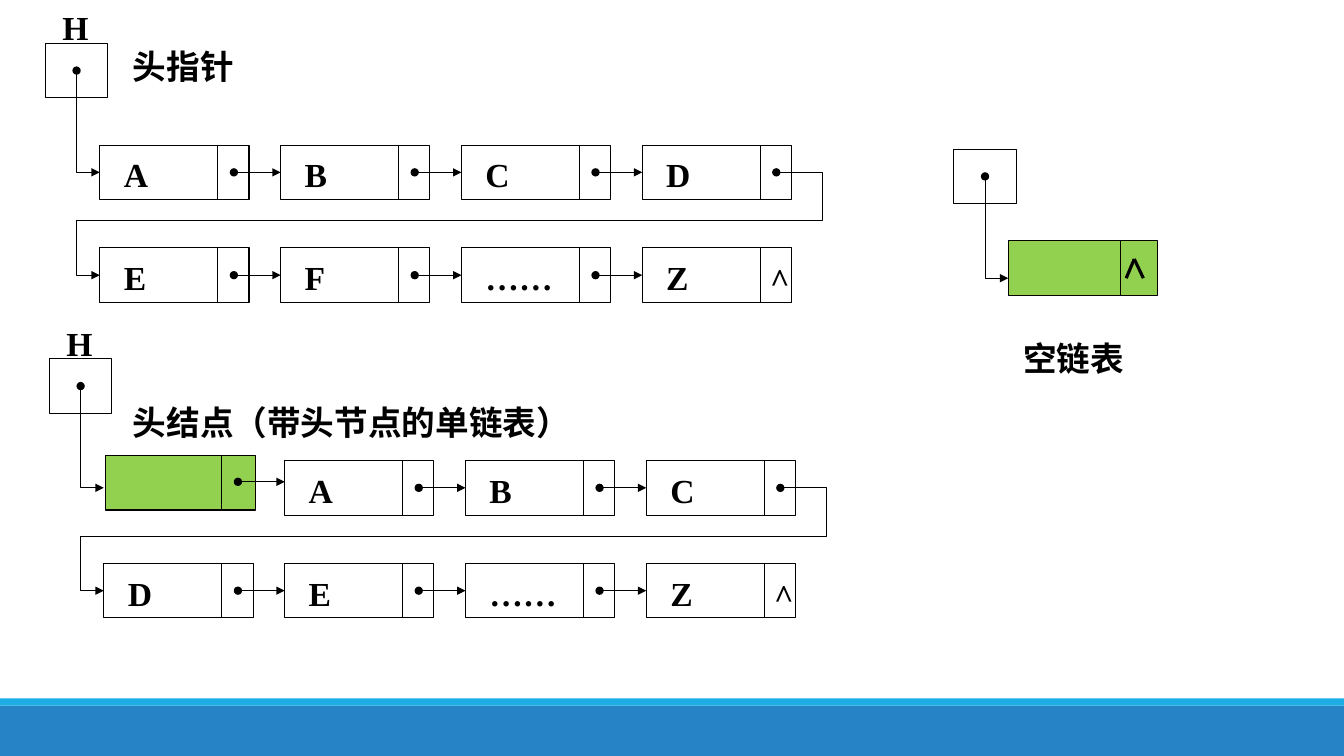
from lxml.etree import SubElement
from pptx import Presentation
from pptx.dml.color import RGBColor
from pptx.enum.shapes import MSO_CONNECTOR as Connector, MSO_SHAPE as Shape
from pptx.oxml.ns import qn
from pptx.util import Inches, Pt

BLACK = RGBColor(0x00, 0x00, 0x00)
GREEN = RGBColor(0x92, 0xD0, 0x50)
BLUE = RGBColor(0x26, 0x83, 0xC6)
CYAN = RGBColor(0x1C, 0xAD, 0xE4)
LATIN = "Times New Roman"
CHINESE = "Noto Sans CJK SC"

SLIDE_WIDTH, SLIDE_HEIGHT = 13.33, 7.5
COLUMN, ROW = 5.38 / 3, 1.02
NODE_WIDTH, NODE_HEIGHT = 1.48, 0.54
MIDDLE = NODE_HEIGHT / 2
DIVIDER, DOT = 1.17, 1.33
TRUNK = -0.23


class ListDiagram:
    """Draws linked lists; lengths are inches from the first node of the current list."""

    def __init__(self, page):
        self.page = page
        self.left = self.top = 0

    def start_list(self, left, top):
        self.left, self.top = left, top

    def place(self, x, y):
        return Inches(self.left + x), Inches(self.top + y)

    def outline(self, shape, weight=0.75, arrow=False):
        shape.line.color.rgb = BLACK
        shape.line.width = Pt(weight)
        if arrow:
            line = shape.line._get_or_add_ln()
            SubElement(line, qn("a:headEnd"), type="oval")
            SubElement(line, qn("a:tailEnd"), type="triangle")

    def box(self, x, y, width, height, fill=None, outlined=True):
        box = self.page.shapes.add_shape(
            Shape.RECTANGLE, *self.place(x, y), Inches(width), Inches(height))
        box.shadow.inherit = False
        if fill is None:
            box.fill.background()
        else:
            box.fill.solid()
            box.fill.fore_color.rgb = fill
        if outlined:
            self.outline(box)
        else:
            box.line.fill.background()

    def line(self, start, end, weight=0.75, arrow=False):
        line = self.page.shapes.add_connector(
            Connector.STRAIGHT, *self.place(*start), *self.place(*end))
        self.outline(line, weight, arrow)
        SubElement(line._element.spPr, qn("a:effectLst"))

    def bent_arrow(self, *points):
        start, *rest = [self.place(*point) for point in points]
        builder = self.page.shapes.build_freeform(*start)
        builder.add_line_segments(rest, close=False)
        arrow = builder.convert_to_shape()
        arrow.shadow.inherit = False
        arrow.fill.background()
        self.outline(arrow, arrow=True)

    def text(self, x, y, width, words, font=LATIN):
        box = self.page.shapes.add_textbox(
            *self.place(x, y), Inches(width), Inches(0.51))
        box.text_frame.word_wrap = False
        span = box.text_frame.paragraphs[0].add_run()
        span.text = words
        span.font.size = Pt(24)
        span.font.bold = True
        span.font.name = font
        span.font.color.rgb = BLACK
        SubElement(span._r.get_or_add_rPr(), qn("a:ea"), typeface=font)

    def link(self, x, y):
        self.line((x + DOT, y + MIDDLE), (x + COLUMN, y + MIDDLE), arrow=True)

    def node(self, column, row, label):
        x, y = column * COLUMN, row * ROW
        self.box(x, y, NODE_WIDTH, NODE_HEIGHT)
        self.line((x + DIVIDER, y), (x + DIVIDER, y + NODE_HEIGHT))
        self.text(x + 0.14, y + 0.04, 1.06 if label == "……" else 0.44, label)
        if column < 3:
            self.link(x, y)

    def header_node(self, x, y, divider):
        self.box(x, y, NODE_WIDTH, NODE_HEIGHT, GREEN)
        self.line((divider, y), (divider, y + NODE_HEIGHT))

    def head_pointer(self, target=MIDDLE):
        self.box(-0.54, -1.01, 0.62, NODE_HEIGHT)
        self.bent_arrow((TRUNK, -0.74), (TRUNK, target), (0, target))

    def full_list(self, rows):
        """Draws two rows of nodes; None leaves a place for a header node."""
        for row, labels in enumerate(rows):
            for column, label in enumerate(labels):
                if label:
                    self.node(column, row, label)
        self.text(3 * COLUMN + DIVIDER, ROW + 0.06, 0.4, "^")
        turn, gap, end = 7.17, 0.75, ROW + MIDDLE
        self.bent_arrow((3 * COLUMN + DOT, MIDDLE), (turn, MIDDLE), (turn, gap),
                        (TRUNK, gap), (TRUNK, end), (0, end))
        self.head_pointer()
        self.text(-0.47, -1.42, 0.46, "H")


def main():
    deck = Presentation()
    deck.slide_width, deck.slide_height = Inches(SLIDE_WIDTH), Inches(SLIDE_HEIGHT)
    blank_layout = deck.slide_layouts[6]
    diagram = ListDiagram(deck.slides.add_slide(blank_layout))

    diagram.box(0, 7, SLIDE_WIDTH, 0.5, BLUE, outlined=False)
    diagram.box(0, 6.93, SLIDE_WIDTH, 0.07, CYAN, outlined=False)

    diagram.start_list(0.99, 1.44)
    diagram.full_list(["ABCD", ["E", "F", "……", "Z"]])
    diagram.text(0.23, -1.03, 1.21, "头指针", CHINESE)

    diagram.start_list(1.03, 4.57)
    diagram.header_node(0.02, -0.05, DIVIDER)
    diagram.link(0, -0.06)
    diagram.full_list([[None, "A", "B", "C"], ["D", "E", "……", "Z"]])
    diagram.text(0.19, -0.63, 4.58, "头结点（带头节点的单链表）", CHINESE)

    diagram.start_list(10, 2.49)
    diagram.header_node(0, -0.1, 1.11)
    diagram.head_pointer(MIDDLE)
    for foot in (1.17, 1.34):
        diagram.line((1.25, 0.08), (foot, 0.27), weight=2.25)
    diagram.text(0.05, 0.81, 1.21, "空链表", CHINESE)

    deck.save("out.pptx")


if __name__ == "__main__":
    main()
